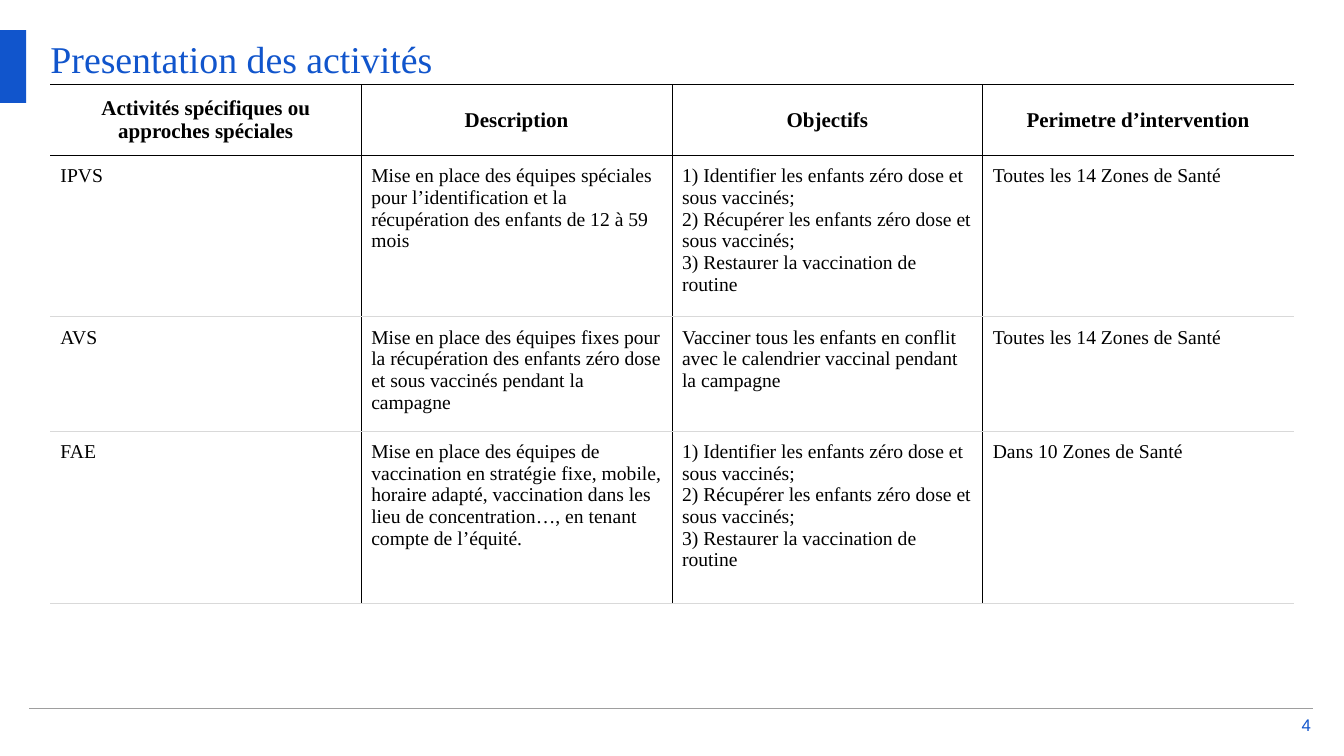
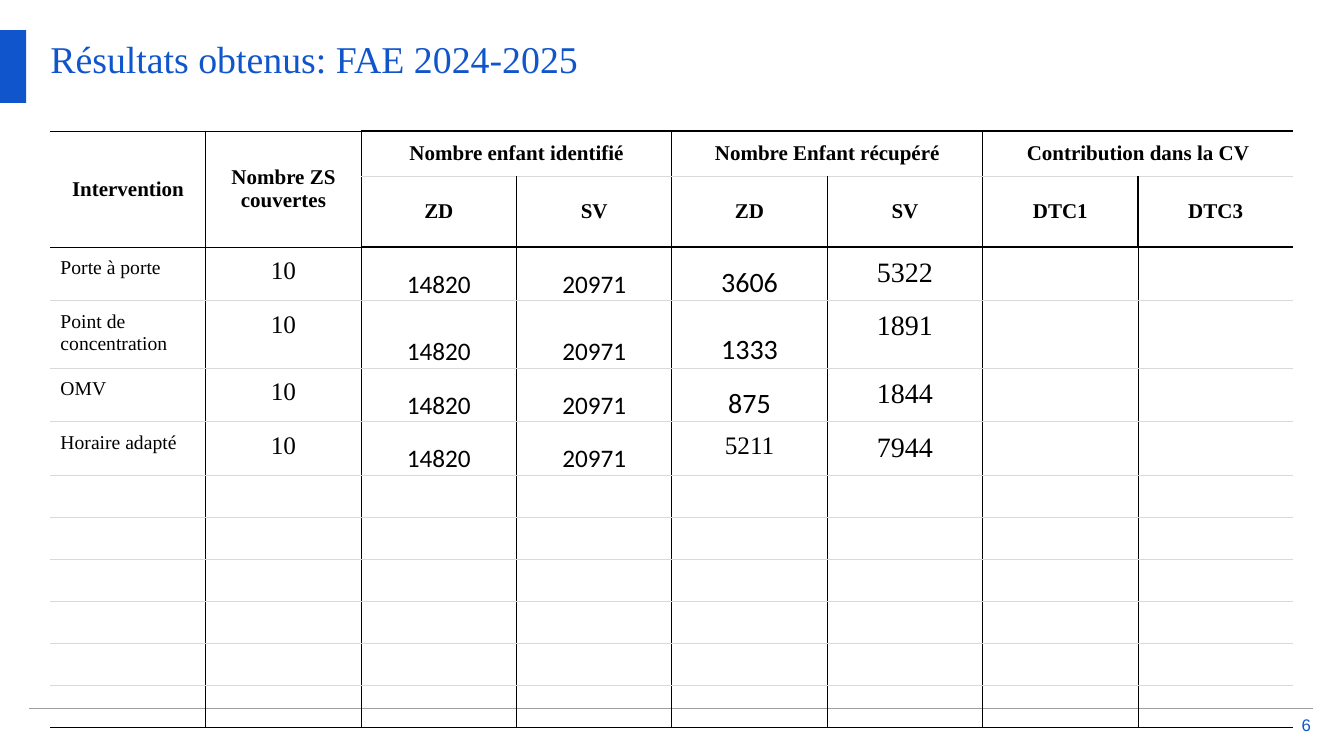
from dataclasses import dataclass

from lxml import etree
from pptx import Presentation
from pptx.dml.color import RGBColor
from pptx.enum.shapes import MSO_CONNECTOR, MSO_SHAPE
from pptx.enum.text import MSO_ANCHOR, PP_ALIGN
from pptx.oxml.ns import qn
from pptx.util import Inches, Pt

RECT = MSO_SHAPE.RECTANGLE
STRAIGHT = MSO_CONNECTOR.STRAIGHT
LEFT, CENTER, RIGHT = PP_ALIGN.LEFT, PP_ALIGN.CENTER, PP_ALIGN.RIGHT
TOP, MIDDLE, BOTTOM = MSO_ANCHOR.TOP, MSO_ANCHOR.MIDDLE, MSO_ANCHOR.BOTTOM


@dataclass(frozen=True)
class TextStyle:
    font: str
    size: int
    color: str = "000000"
    bold: bool = False
    align: int = LEFT
    anchor: int = TOP
    inset: float = 0.1


class Theme:
    accent = "1155CC"
    ink = "000000"
    rule = "9E9E9E"
    grid = "D9D9D9"
    thin, heavy = 0.75, 1
    serif, sans, figures = "Times New Roman", "Arial", "Calibri"
    title = TextStyle(serif, 27, accent, inset=0)
    number = TextStyle(sans, 12, accent, align=RIGHT, anchor=MIDDLE, inset=0)
    head = TextStyle(serif, 15, ink, True, CENTER, MIDDLE)
    body = TextStyle(serif, 14)
    tally = TextStyle(serif, 18, align=CENTER)
    tally_big = TextStyle(serif, 20, align=CENTER)
    sheet = TextStyle(figures, 18, align=CENTER, anchor=BOTTOM, inset=0.01)
    sheet_big = TextStyle(figures, 20, align=CENTER, anchor=BOTTOM, inset=0.01)


class Deck:
    left, width = 3.75, 92.5

    def __init__(self, theme):
        self.theme = theme
        self.prs = Presentation()
        self.prs.slide_width = Inches(13.33)
        self.prs.slide_height = Inches(7.5)
        self.s = None

    def x(self, percent):
        return int(self.prs.slide_width * percent / 100)

    def y(self, percent):
        return int(self.prs.slide_height * percent / 100)

    def box(self, left, top, width, height):
        return self.x(left), self.y(top), self.x(width), self.y(height)

    def slide(self, title, number):
        t = self.theme
        self.s = self.prs.slides.add_slide(self.prs.slide_layouts[6])
        self.text(title, t.title, self.left, 4.67, self.width, 10.67)
        self.band(0, 4, 1.95, 9.6)
        self.text(str(number), t.number, 95.65, 94.67, 1.88, 2.4)
        self.line(2.18, 97.67, 93.73)

    def add_runs(self, tf, text, style):
        for i, line in enumerate(text.split("\n")):
            p = tf.add_paragraph() if i else tf.paragraphs[0]
            p.alignment = style.align
            r = p.add_run()
            r.text = line
            r.font.name = style.font
            r.font.size = Pt(style.size)
            r.font.bold = style.bold
            r.font.color.rgb = RGBColor.from_string(style.color)

    def inset(self, target, style):
        target.margin_left = target.margin_right = Inches(style.inset)
        target.margin_top = target.margin_bottom = Inches(style.inset)
        target.vertical_anchor = style.anchor

    def text(self, text, style, *place):
        tf = self.s.shapes.add_textbox(*self.box(*place)).text_frame
        tf.word_wrap = True
        self.inset(tf, style)
        self.add_runs(tf, text, style)

    def band(self, *place):
        sp = self.s.shapes.add_shape(RECT, *self.box(*place))
        sp.shadow.inherit = False
        sp.fill.solid()
        sp.fill.fore_color.rgb = RGBColor.from_string(self.theme.accent)
        sp.line.fill.background()

    def line(self, start, end, top):
        ln = self.s.shapes.add_connector(
            STRAIGHT, self.x(start), self.y(top), self.x(end), self.y(top))
        ln.line.color.rgb = RGBColor.from_string(self.theme.rule)
        ln.line.width = Pt(1)
        etree.SubElement(ln._element.spPr, qn("a:effectLst"))

    def border(self, cell, side, color, width):
        ln = etree.SubElement(cell._tc.get_or_add_tcPr(), qn("a:ln" + side))
        ln.set("w", str(Pt(width)))
        if color is None:
            etree.SubElement(ln, qn("a:noFill"))
        else:
            fill = etree.SubElement(ln, qn("a:solidFill"))
            etree.SubElement(fill, qn("a:srgbClr")).set("val", color)

    def table(self, top, heights, rows, heads=1, spans=(), heavy_from=None, closed=False):
        t = self.theme
        n_rows, n_cols = len(heights), len(rows[0])
        tbl = self.s.shapes.add_table(
            n_rows, n_cols, *self.box(self.left, top, self.width, sum(heights))).table
        tbl.first_row = tbl.horz_banding = False
        for row, height in zip(tbl.rows, heights):
            row.height = self.y(height)
        for col in tbl.columns:
            col.width = self.x(self.width / n_cols)
        for r, c, down, across in spans:
            tbl.cell(r, c).merge(tbl.cell(r + down - 1, c + across - 1))

        black = {0, heads} | ({n_rows} if closed else set())

        def weight(in_head, c):
            heavy = heavy_from is not None and in_head and c >= heavy_from
            return t.heavy if heavy else t.thin

        def across_line(r, c):
            if r in black:
                return t.ink, weight(r <= heads, c)
            return t.grid, t.thin

        def down_line(r, c):
            color = t.ink if 0 < c < n_cols else None
            return color, weight(r < heads, c)

        for r in range(n_rows):
            for c in range(n_cols):
                cell = tbl.cell(r, c)
                if cell.is_spanned:
                    continue
                below = r + (cell.span_height if cell.is_merge_origin else 1)
                beyond = c + (cell.span_width if cell.is_merge_origin else 1)
                self.border(cell, "L", *down_line(r, c))
                self.border(cell, "R", *down_line(r, beyond))
                self.border(cell, "T", *across_line(r, c))
                self.border(cell, "B", *across_line(below, c))
                cell.fill.background()
                if r < len(rows) and rows[r][c]:
                    text, style = rows[r][c]
                    self.inset(cell, style)
                    self.add_runs(cell.text_frame, text, style)


def styled(texts, style):
    return [(text, style) if text else None for text in texts]


def activities(deck):
    t = deck.theme
    goals = ("1) Identifier les enfants zéro dose et sous vaccinés;\n"
             "2) Récupérer les enfants zéro dose et sous vaccinés;\n"
             "3) Restaurer la vaccination de routine")
    everywhere = "Toutes les 14 Zones de Santé"
    heads = ["Activités spécifiques ou approches spéciales", "Description",
             "Objectifs", "Perimetre d’intervention"]
    body = [
        ["IPVS",
         "Mise en place des équipes spéciales pour l’identification et la "
         "récupération des enfants de 12 à 59 mois",
         goals, everywhere],
        ["AVS",
         "Mise en place des équipes fixes pour la récupération des enfants "
         "zéro dose et sous vaccinés pendant la campagne",
         "Vacciner tous les enfants en conflit avec le calendrier vaccinal "
         "pendant la campagne",
         everywhere],
        ["FAE",
         "Mise en place des équipes de vaccination en stratégie fixe, mobile, "
         "horaire adapté, vaccination dans les lieu de concentration…, "
         "en tenant compte de l’équité.",
         goals, "Dans 10 Zones de Santé"],
    ]
    deck.slide("Presentation des activités", 4)
    deck.table(11.2, [8.8, 19.87, 14.13, 22.8],
               [styled(heads, t.head)] + [styled(row, t.body) for row in body])


def results(deck):
    t = deck.theme
    groups = ["Intervention", "Nombre ZS couvertes", "Nombre enfant identifié", None,
              "Nombre Enfant récupéré", None, "Contribution dans la CV", None]
    measures = [None, None, "ZD", "SV", "ZD", "SV", "DTC1", "DTC3"]
    recovered = [
        ("Porte à porte", "3606", t.sheet_big, "5322"),
        ("Point de concentration", "1333", t.sheet_big, "1891"),
        ("OMV", "875", t.sheet_big, "1844"),
        ("Horaire adapté", "5211", t.tally, "7944"),
    ]
    body = [[(name, t.body), ("10", t.tally), ("14820", t.sheet), ("20971", t.sheet),
             (zd, zd_style), (sv, t.tally_big), None, None]
            for name, zd, zd_style, sv in recovered]
    spans = [(0, c, 2, 1) for c in (0, 1)] + [(0, c, 1, 2) for c in (2, 4, 6)]
    deck.slide("Résultats obtenus: FAE 2024-2025", 6)
    deck.table(17.33, [6, 8.8, 6.75, 8.4, 6.75, 6.75] + [5.55] * 6,
               [styled(groups, t.head), styled(measures, t.head)] + body,
               heads=2, spans=spans, heavy_from=2, closed=True)


def main():
    deck = Deck(Theme())
    activities(deck)
    results(deck)
    deck.prs.save("out.pptx")


if __name__ == "__main__":
    main()
